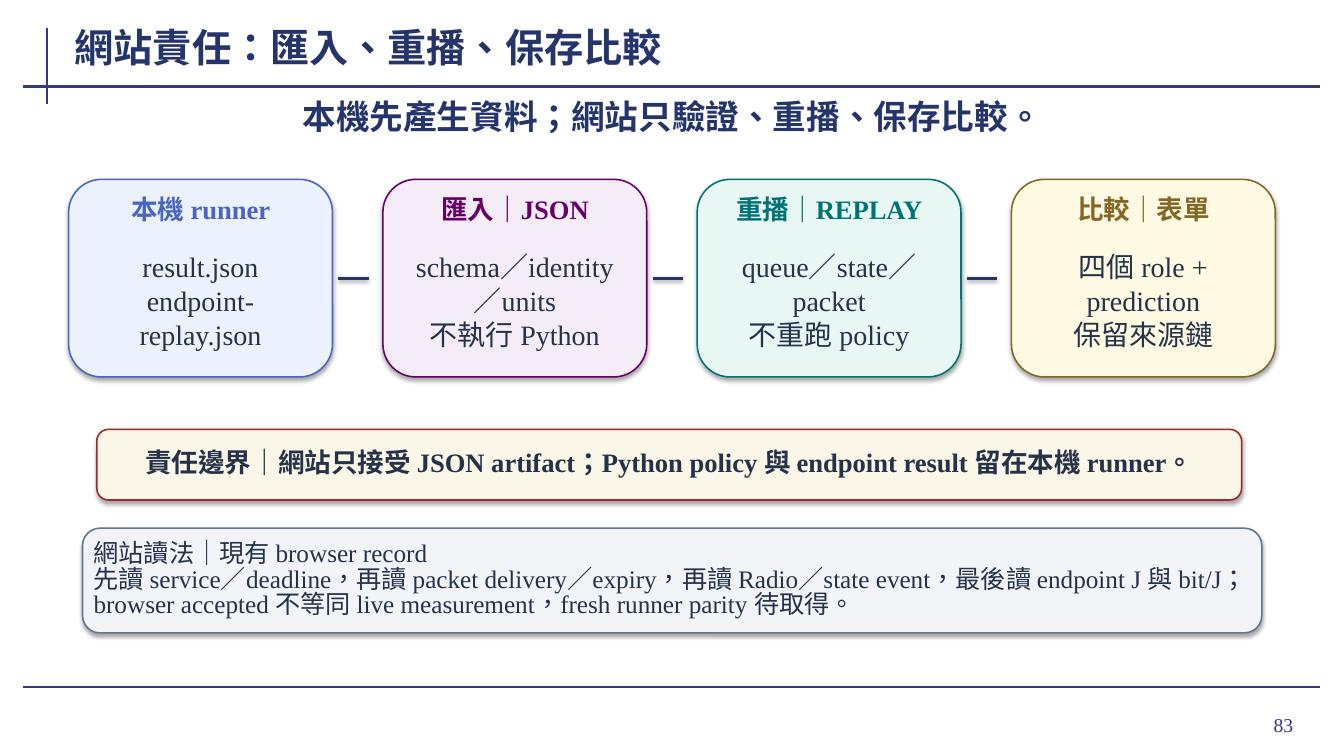
from dataclasses import dataclass

from lxml import etree
from pptx import Presentation
from pptx.dml.color import RGBColor
from pptx.enum.lang import MSO_LANGUAGE_ID
from pptx.enum.shapes import MSO_CONNECTOR, MSO_SHAPE
from pptx.enum.text import MSO_ANCHOR, MSO_AUTO_SIZE, PP_ALIGN
from pptx.oxml.ns import qn
from pptx.util import Cm, Pt

STRAIGHT = MSO_CONNECTOR.STRAIGHT
ROUNDED = MSO_SHAPE.ROUNDED_RECTANGLE
MIDDLE = MSO_ANCHOR.MIDDLE
NO_AUTOFIT = MSO_AUTO_SIZE.NONE
LEFT, CENTER, RIGHT = PP_ALIGN.LEFT, PP_ALIGN.CENTER, PP_ALIGN.RIGHT
CHINESE = MSO_LANGUAGE_ID.TRADITIONAL_CHINESE


@dataclass(frozen=True)
class Theme:
    font: str = "Times New Roman"
    rule: str = "35377F"
    navy: str = "25356B"
    ink: str = "25324A"
    shadow: str = "000000"
    local: tuple = ("ECF1FE", "4967C2")
    importing: tuple = ("F4EDF7", "660066")
    replay: tuple = ("E8F7F4", "007374")
    compare: tuple = ("FDF9E2", "846826")
    boundary: tuple = ("FAF7E8", "992A2A")
    reading: tuple = ("F2F4F8", "65758B")
    title_size: int = 28
    lead_size: int = 24
    body_size: int = 20
    heading_size: int = 19
    note_size: int = 18
    number_size: int = 14


class SlideBuilder:
    def __init__(self, slide, theme):
        self.slide = slide
        self.theme = theme

    def fill_text(self, shape, text, size, color, bold=False, align=CENTER,
                  insets=(0.2, 0.1), spacing=None):
        text_frame = shape.text_frame
        text_frame.text = text
        text_frame.word_wrap = True
        text_frame.auto_size = NO_AUTOFIT
        text_frame.vertical_anchor = MIDDLE
        text_frame.margin_left = text_frame.margin_right = Cm(insets[0])
        text_frame.margin_top = text_frame.margin_bottom = Cm(insets[1])
        for paragraph in text_frame.paragraphs:
            paragraph.alignment = align
            if spacing:
                paragraph.line_spacing = spacing
            for run in paragraph.runs:
                run.font.name = self.theme.font
                run.font.size = Pt(size)
                run.font.bold = bold
                run.font.color.rgb = RGBColor.from_string(color)
                run.font.language_id = CHINESE

    def add_shadow(self, effects, distance, opacity):
        outer = etree.SubElement(
            effects, qn("a:outerShdw"), blurRad=str(Pt(3.1)),
            dist=str(Pt(distance)), dir="5400000", rotWithShape="0")
        color = etree.SubElement(outer, qn("a:srgbClr"), val=self.theme.shadow)
        etree.SubElement(color, qn("a:alpha"), val=str(opacity * 1000))

    def title(self, text, left, top, width, height):
        shape = self.slide.shapes.title
        shape.left, shape.top = Cm(left), Cm(top)
        shape.width, shape.height = Cm(width), Cm(height)
        self.fill_text(shape, text, self.theme.title_size, self.theme.navy,
                       bold=True, align=LEFT, insets=(0.05, 0))

    def text(self, text, left, top, width, height, size, color, **style):
        shape = self.slide.shapes.add_textbox(
            Cm(left), Cm(top), Cm(width), Cm(height))
        self.fill_text(shape, text, size, color, **style)

    def panel(self, left, top, width, height, colors):
        fill, outline = colors
        shape = self.slide.shapes.add_shape(
            ROUNDED, Cm(left), Cm(top), Cm(width), Cm(height))
        shape.fill.solid()
        shape.fill.fore_color.rgb = RGBColor.from_string(fill)
        shape.line.color.rgb = RGBColor.from_string(outline)
        shape.line.width = Pt(1.1)
        shape.shadow.inherit = False
        effects = shape._element.spPr.find(qn("a:effectLst"))
        self.add_shadow(effects, 1.8, 35)
        return shape

    def line(self, start, end, color, width, shadowed=False):
        connector = self.slide.shapes.add_connector(
            STRAIGHT, Cm(start[0]), Cm(start[1]), Cm(end[0]), Cm(end[1]))
        connector.line.color.rgb = RGBColor.from_string(color)
        connector.line.width = Pt(width)
        effects = etree.SubElement(connector._element.spPr, qn("a:effectLst"))
        if shadowed:
            self.add_shadow(effects, 1.6, 38)

    def card(self, left, top, heading, body, colors):
        theme = self.theme
        self.panel(left, top, 6.65, 4.98, colors)
        self.text(heading, left + 0.36, top + 0.2, 5.94, 1.07,
                  theme.heading_size, colors[1], bold=True)
        self.text(body, left + 0.38, top + 1.37, 5.89, 3.35,
                  theme.body_size, theme.ink)


def main():
    theme = Theme()
    presentation = Presentation()
    presentation.slide_width = Cm(33.87)
    presentation.slide_height = Cm(19.05)
    slide = presentation.slides.add_slide(presentation.slide_layouts[5])
    builder = SlideBuilder(slide, theme)

    rules = [((1.19, 0.71), (1.19, 2.62)),
             ((0.58, 2.18), (33.27, 2.18)),
             ((0.58, 17.32), (33.27, 17.32))]
    for start, end in rules:
        builder.line(start, end, theme.rule, 1.5)
    builder.text("83", 30.38, 17.6, 2.46, 1.32, theme.number_size, theme.rule,
                 align=RIGHT, insets=(0.25, 0.13))
    builder.title("網站責任：匯入、重播、保存比較", 1.83, 0.51, 26.29, 1.35)
    builder.text("本機先產生資料；網站只驗證、重播、保存比較。",
                 2.08, 2.36, 29.72, 1.14, theme.lead_size, theme.navy,
                 bold=True, insets=(0.05, 0))

    cards = [
        ("本機 runner", "result.json\nendpoint-replay.json", theme.local),
        ("匯入｜JSON", "schema／identity／units\n不執行 Python", theme.importing),
        ("重播｜REPLAY", "queue／state／packet\n不重跑 policy", theme.replay),
        ("比較｜表單", "四個 role + prediction\n保留來源鏈", theme.compare),
    ]
    first_left, pitch, card_top, link_y = 1.73, 7.92, 4.52, 7.01
    for index, (heading, body, colors) in enumerate(cards):
        left = first_left + index * pitch
        builder.card(left, card_top, heading, body, colors)
        if index:
            builder.line((left - 1.12, link_y), (left - 0.36, link_y),
                         theme.navy, 2, shadowed=True)

    boundary = builder.panel(2.44, 10.82, 28.85, 1.78, theme.boundary)
    builder.fill_text(
        boundary,
        "責任邊界｜網站只接受 JSON artifact；Python policy 與 endpoint result 留在本機 runner。",
        theme.heading_size, theme.ink, bold=True, insets=(0.2, 0.05), spacing=0.84)
    reading = builder.panel(2.08, 13.31, 29.72, 2.64, theme.reading)
    builder.fill_text(
        reading,
        "網站讀法｜現有 browser record\n"
        "先讀 service／deadline，再讀 packet delivery／expiry，再讀 Radio／state event，"
        "最後讀 endpoint J 與 bit/J；browser accepted 不等同 live measurement，"
        "fresh runner parity 待取得。",
        theme.note_size, theme.ink, align=LEFT, insets=(0.15, 0.05), spacing=0.84)

    presentation.save("out.pptx")


if __name__ == "__main__":
    main()
